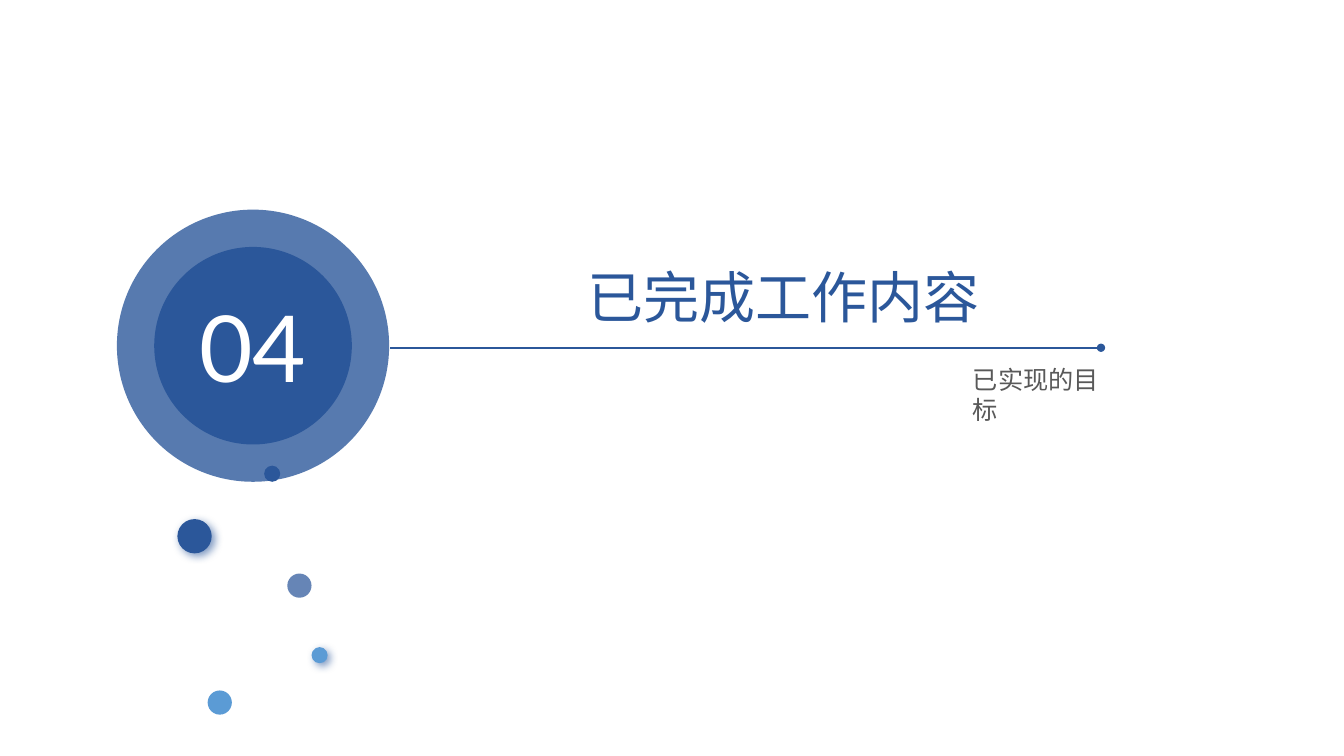
from lxml import etree
from pptx import Presentation
from pptx.dml.color import RGBColor
from pptx.enum.shapes import MSO_CONNECTOR, MSO_SHAPE
from pptx.enum.text import MSO_ANCHOR, MSO_AUTO_SIZE, PP_ALIGN
from pptx.oxml.ns import qn
from pptx.util import Emu, Pt

OVAL = MSO_SHAPE.OVAL
STRAIGHT = MSO_CONNECTOR.STRAIGHT
MIDDLE, TOP = MSO_ANCHOR.MIDDLE, MSO_ANCHOR.TOP
CENTER, LEFT = PP_ALIGN.CENTER, PP_ALIGN.LEFT
GROW = MSO_AUTO_SIZE.SHAPE_TO_FIT_TEXT

BLUE, SKY, GREY, WHITE = "2B579A", "5B9BD5", "595959", "FFFFFF"
LATIN, HAN = "Lato", "Noto Sans CJK SC"


def px(n):
    """Lengths are in px, 100 to the inch."""
    return Emu(n * 9144)


def paint(color, code):
    color.rgb = RGBColor.from_string(code)


def node(parent, tag, **attrs):
    return etree.SubElement(parent, qn(tag), attrs)


def tint(parent, code, alpha):
    color = node(parent, "a:srgbClr", val=code)
    node(color, "a:alpha", val=str(alpha * 1000))


def write(frame, text, size, font, code, align):
    para = frame.paragraphs[0]
    para.alignment = align
    para.space_before = Pt(0)
    para.line_spacing = 1.0
    run = para.add_run()
    run.text = text
    run.font.size = Pt(size)
    run.font.name = font
    paint(run.font.color, code)
    node(run.font._element, "a:ea", typeface=font)


def disc(slide, x, y, size, code, alpha=100, glow=False):
    shape = slide.shapes.add_shape(OVAL, px(x), px(y), px(size), px(size))
    shape.line.fill.background()
    shape.shadow.inherit = False
    shape.fill.solid()
    paint(shape.fill.fore_color, code)
    props = shape._element.spPr
    if alpha < 100:
        color = props.find(qn("a:solidFill"))[0]
        node(color, "a:alpha", val=str(alpha * 1000))
    if glow:
        shadow = node(props.find(qn("a:effectLst")), "a:outerShdw",
                      blurRad=str(Pt(6)), dist=str(Pt(3)),
                      dir=str(45 * 60000), algn="tl", rotWithShape="0")
        tint(shadow, BLUE, 60)
    return shape


def badge(slide, x, y, size, text):
    # Pale ring with the numbered disc inside it
    disc(slide, x, y, size, BLUE, alpha=79)
    rim = 37
    core = disc(slide, x + rim, y + rim, size - 2 * rim, BLUE)
    frame = core.text_frame
    frame.vertical_anchor = MIDDLE
    frame.word_wrap = False
    write(frame, text, 66, LATIN, WHITE, CENTER)


def bubbles(slide, x, y):
    # Loose dots below the badge: offset, size, colour, alpha, shadow
    dots = [
        (109, 107, 24, BLUE, 72, False),
        (0, 53, 34, BLUE, 100, True),
        (30, 223, 24, SKY, 100, False),
        (133, 180, 16, SKY, 100, True),
        (86, 0, 16, BLUE, 100, False),
    ]
    for dx, dy, size, code, alpha, glow in dots:
        disc(slide, x + dx, y + dy, size, code, alpha, glow)


def label(holder, box, text, size, code):
    holder.left, holder.top, holder.width, holder.height = map(px, box)
    frame = holder.text_frame
    frame.word_wrap = False
    frame.auto_size = GROW
    frame.vertical_anchor = TOP
    write(frame, text, size, HAN, code, LEFT)


def rule(slide, x, y, width):
    # Line that ends in a round dot
    line = slide.shapes.add_connector(STRAIGHT, px(x), px(y), px(x + width), px(y))
    paint(line.line.color, BLUE)
    line.line.width = Pt(1.25)
    props = line._element.spPr
    node(props.find(qn("a:ln")), "a:tailEnd", type="oval")
    node(props, "a:effectLst")


def heading(slide, x, y, width):
    # Title above the rule, subtitle below its far end
    title, sub = slide.placeholders
    label(title, (x + 186, y - 90, 409, 77), "已完成工作内容", 40, BLUE)
    label(sub, (x + 568, y + 11, 170, 40), "已实现的目标", 18, GREY)
    rule(slide, x, y, width)


def main():
    deck = Presentation()
    deck.slide_width, deck.slide_height = px(1333), px(750)
    slide = deck.slides.add_slide(deck.slide_layouts[0])
    badge(slide, 116, 208, 270, "04")
    bubbles(slide, 176, 462)
    heading(slide, 387, 345, 705)
    deck.save("out.pptx")


if __name__ == "__main__":
    main()
